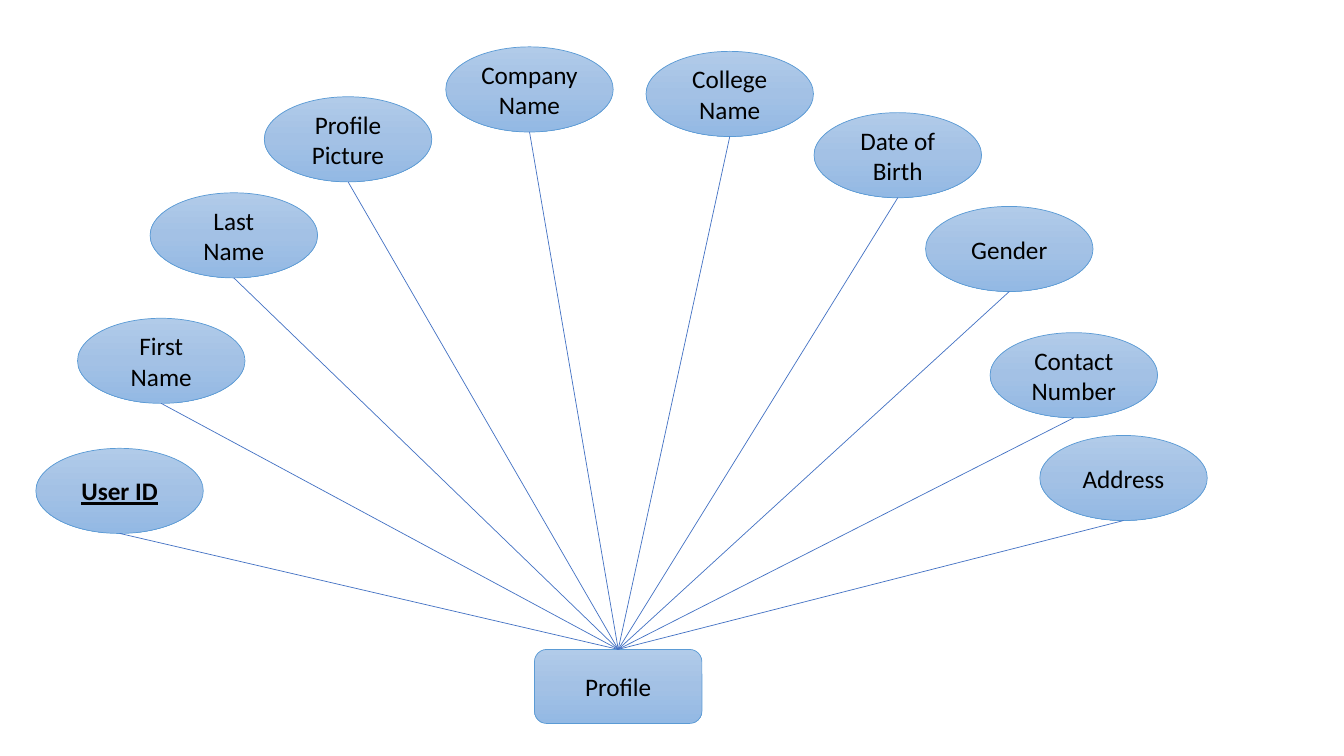
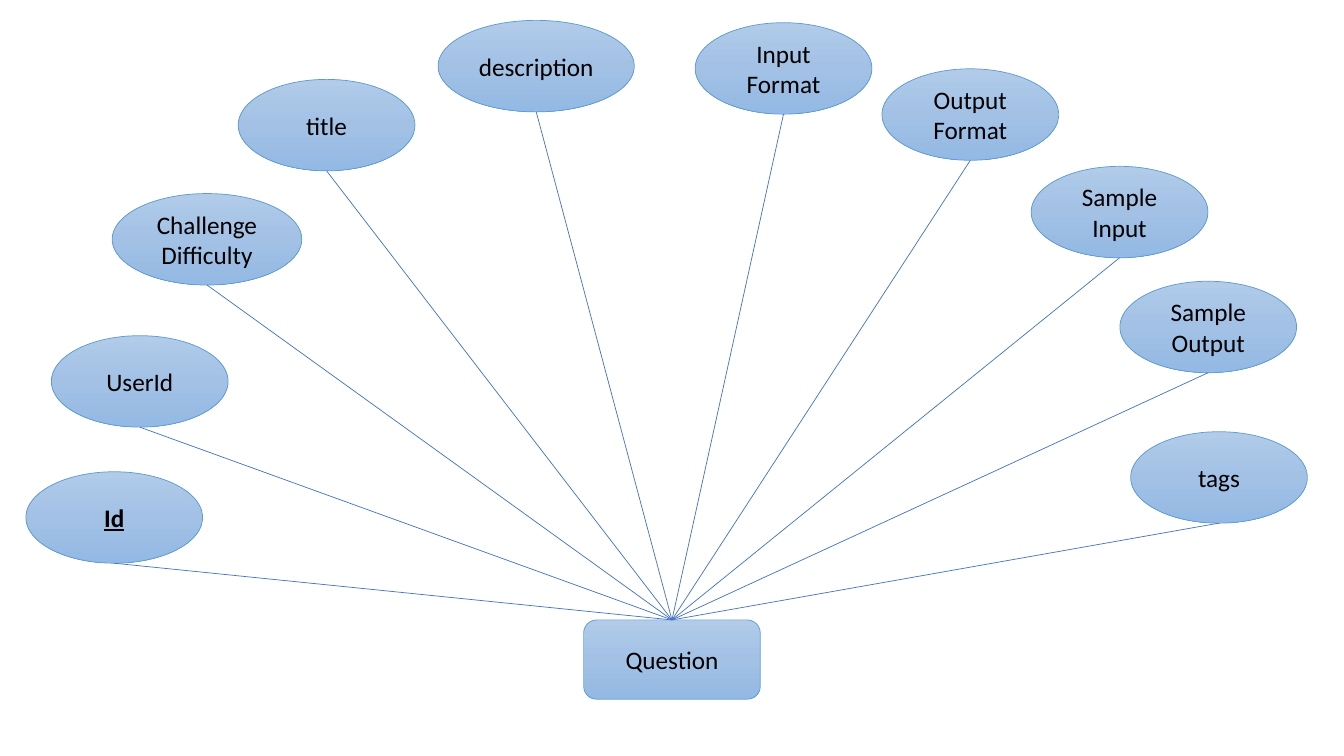
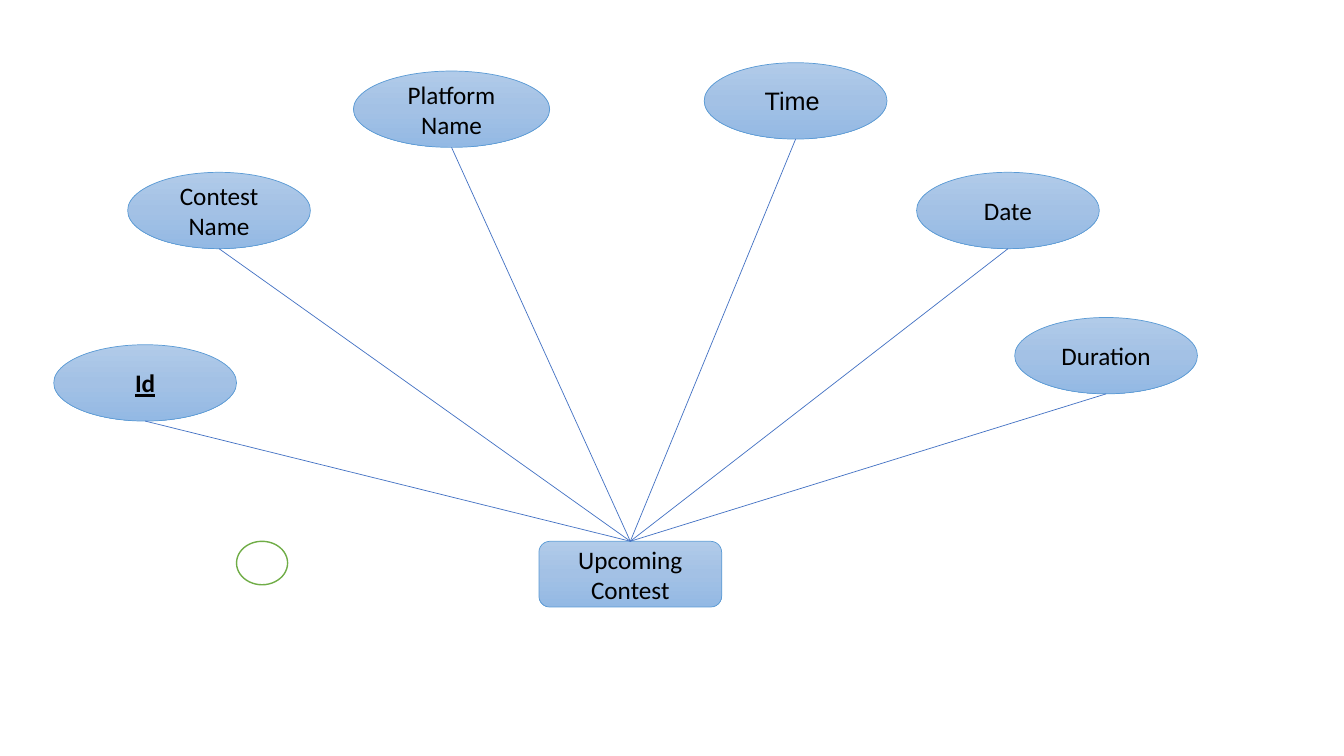
import copy
import dataclasses

import pptx
import pptx.dml.color
import pptx.enum.shapes
import pptx.enum.text
import pptx.oxml
import pptx.oxml.ns
import pptx.shapes.autoshape
import pptx.slide
import pptx.util

RGBColor = pptx.dml.color.RGBColor
Preset = pptx.enum.shapes.MSO_SHAPE

SLIDE_WIDTH = pptx.util.Inches(13.333)
SLIDE_HEIGHT = pptx.util.Inches(7.5)

BLUE_STOPS = (
    RGBColor(0xB1, 0xCB, 0xE9),
    RGBColor(0xA3, 0xC1, 0xE5),
    RGBColor(0x93, 0xB9, 0xE4),
)
OUTLINE_BLUE = RGBColor(0x5B, 0x9B, 0xD5)
LINK_BLUE = RGBColor(0x44, 0x72, 0xC4)
GREEN = RGBColor(0x70, 0xAD, 0x47)
WHITE = RGBColor(0xFF, 0xFF, 0xFF)
BLACK = RGBColor(0x00, 0x00, 0x00)

FONT = "Calibri"
FONT_SIZE = pptx.util.Pt(18)
THIN = pptx.util.Pt(0.5)
BLANK_LAYOUT = 6


@dataclasses.dataclass(frozen=True)
class Node:
    """A labelled shape; lengths are percent of the slide's width or height."""

    label: str
    center: float
    top: float
    width: float | None = None
    is_key: bool = False
    font: str = FONT


@dataclasses.dataclass(frozen=True)
class Diagram:
    """An entity with its attributes fanned out above it."""

    entity: Node
    entity_height: float
    width: float
    height: float
    attributes: tuple[Node, ...]


PROFILE = Diagram(
    entity=Node("Profile", 46, 85.9),
    entity_height=9.8,
    width=12.46,
    height=11.26,
    attributes=(
        Node("User ID", 8.9, 59.3, is_key=True),
        Node("First Name", 12, 42.1),
        Node("Last Name", 17.4, 25.5),
        Node("Profile Picture", 25.9, 12.8),
        Node("Company Name", 39.4, 6.2),
        Node("College Name", 54.3, 6.8),
        Node("Date of Birth", 66.8, 14.9),
        Node("Gender", 75.1, 27.3),
        Node("Contact Number", 79.9, 44),
        Node("Address", 83.6, 57.6),
    ),
)

QUESTION = Diagram(
    entity=Node("Question", 50, 82),
    entity_height=10.5,
    width=13.15,
    height=12.1,
    attributes=(
        Node("Id", 8.5, 62.4, is_key=True),
        Node("UserId", 10.4, 44.4),
        Node("Challenge\nDifficulty", 15.4, 25.6, width=14.1),
        Node("title", 24.3, 10.5),
        Node("description", 39.9, 2.7, width=14.6),
        Node("Input\nFormat", 58.3, 3),
        Node("Output\nFormat", 72.2, 9.1),
        Node("Sample\nInput", 83.3, 22),
        Node("Sample\nOutput", 89.9, 37.2),
        Node("tags", 90.7, 57.1),
    ),
)

CONTEST = Diagram(
    entity=Node("Upcoming Contest", 46.9, 71.6),
    entity_height=8.7,
    width=13.6,
    height=10.1,
    attributes=(
        Node("Id", 10.8, 45.6, is_key=True),
        Node("Contest Name", 16.3, 22.8),
        Node("Platform Name", 33.6, 9.4, width=14.6),
        Node("Time ", 59.2, 8.3, font="Arial"),
        Node("Date", 75, 22.8),
        Node("Duration", 82.3, 42),
    ),
)


def across(percent: float) -> pptx.util.Emu:
    return pptx.util.Emu(round(SLIDE_WIDTH * percent / 100))


def down(percent: float) -> pptx.util.Emu:
    return pptx.util.Emu(round(SLIDE_HEIGHT * percent / 100))


def add_centered_shape(
    page: pptx.slide.Slide,
    preset: pptx.enum.shapes.MSO_SHAPE,
    center: float,
    top: float,
    width: float,
    height: float,
) -> pptx.shapes.autoshape.Shape:
    shape = page.shapes.add_shape(
        preset, across(center - width / 2), down(top), across(width), down(height)
    )
    shape.shadow.inherit = False
    return shape


def fill_with_gradient(shape: pptx.shapes.autoshape.Shape) -> None:
    fill = shape.fill
    fill.gradient()
    fill.gradient_angle = 270
    stop_list = shape._element.spPr.find(".//" + pptx.oxml.ns.qn("a:gsLst"))
    middle_stop = copy.deepcopy(stop_list[0])
    stop_list.insert(1, middle_stop)
    for index, (stop, color) in enumerate(zip(fill.gradient_stops, BLUE_STOPS)):
        stop.position = index / (len(BLUE_STOPS) - 1)
        stop.color.rgb = color


def add_node(
    page: pptx.slide.Slide,
    node: Node,
    preset: pptx.enum.shapes.MSO_SHAPE,
    width: float,
    height: float,
) -> pptx.shapes.autoshape.Shape:
    box = add_centered_shape(
        page, preset, node.center, node.top, node.width or width, height
    )
    fill_with_gradient(box)
    box.line.color.rgb = OUTLINE_BLUE
    box.line.width = THIN
    frame = box.text_frame
    frame.text = node.label
    frame.word_wrap = True
    frame.vertical_anchor = pptx.enum.text.MSO_ANCHOR.MIDDLE
    for para in frame.paragraphs:
        para.alignment = pptx.enum.text.PP_ALIGN.CENTER
        for span in para.runs:
            span.font.name = node.font
            span.font.size = FONT_SIZE
            span.font.color.rgb = BLACK
            if node.is_key:
                span.font.bold = True
                span.font.underline = True
    return box


def link(
    page: pptx.slide.Slide,
    attribute: pptx.shapes.autoshape.Shape,
    entity: pptx.shapes.autoshape.Shape,
) -> None:
    """Draw a line from the foot of an attribute to the top of its entity."""
    connector = page.shapes.add_connector(
        pptx.enum.shapes.MSO_CONNECTOR.STRAIGHT,
        attribute.left + attribute.width // 2,
        attribute.top + attribute.height,
        entity.left + entity.width // 2,
        entity.top,
    )
    connector.end_connect(entity, 0)
    connector.line.color.rgb = LINK_BLUE
    connector.line.width = THIN
    connector._element.spPr.append(pptx.oxml.parse_xml(
        f"<a:effectLst {pptx.oxml.ns.nsdecls('a')}/>"
    ))


def add_diagram(deck: pptx.presentation.Presentation, diagram: Diagram) -> pptx.slide.Slide:
    page = deck.slides.add_slide(deck.slide_layouts[BLANK_LAYOUT])
    entity = add_node(
        page, diagram.entity, Preset.ROUNDED_RECTANGLE,
        diagram.width, diagram.entity_height,
    )
    for node in diagram.attributes:
        attribute = add_node(page, node, Preset.OVAL, diagram.width, diagram.height)
        link(page, attribute, entity)
    return page


def add_empty_circle(page: pptx.slide.Slide) -> None:
    circle = add_centered_shape(page, Preset.OVAL, 19.5, 71.6, 3.8, 5.75)
    circle.fill.solid()
    circle.fill.fore_color.rgb = WHITE
    circle.line.color.rgb = GREEN
    circle.line.width = pptx.util.Pt(1)


def main() -> None:
    deck = pptx.Presentation()
    deck.slide_width = SLIDE_WIDTH
    deck.slide_height = SLIDE_HEIGHT
    add_diagram(deck, PROFILE)
    add_diagram(deck, QUESTION)
    contest_page = add_diagram(deck, CONTEST)
    add_empty_circle(contest_page)
    deck.save("out.pptx")


if __name__ == "__main__":
    main()
